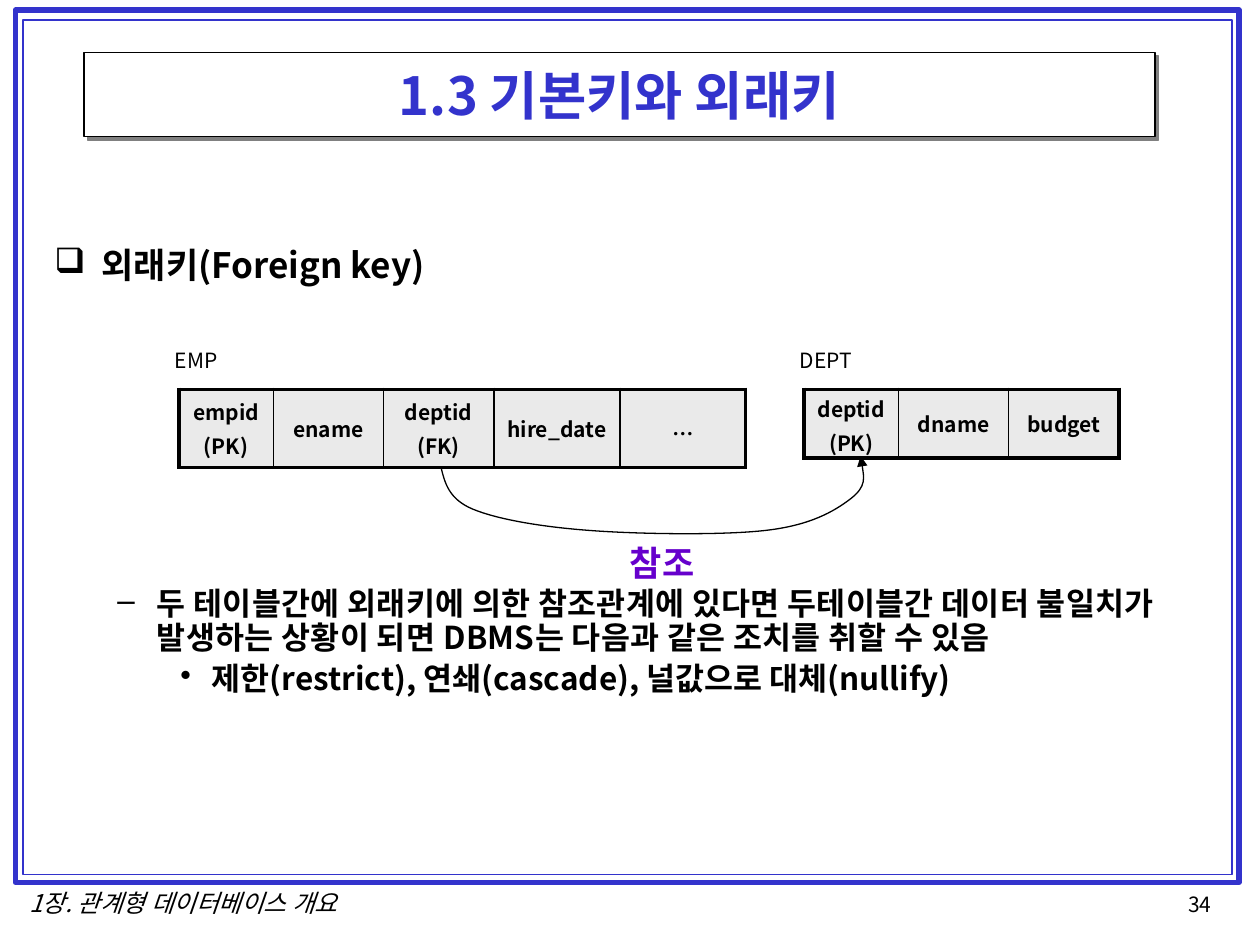
"""Build the slide on primary and foreign keys."""
import dataclasses
import typing

import lxml.etree
import pptx
import pptx.dml.color
import pptx.enum.shapes
import pptx.enum.text
import pptx.oxml
import pptx.oxml.ns
import pptx.util

Pt = pptx.util.Pt
qn = pptx.oxml.ns.qn
ALIGN = pptx.enum.text.PP_ALIGN
MIDDLE = pptx.enum.text.MSO_ANCHOR.MIDDLE


@dataclasses.dataclass(frozen=True)
class Theme:
    font: str = "Noto Sans CJK KR"
    serif: str = "Times New Roman"
    blue: str = "3333CC"
    purple: str = "6600CC"
    black: str = "000000"
    white: str = "FFFFFF"
    gray: str = "EAEAEA"
    shadow: str = "808080"
    title: float = 30
    heading: float = 20
    body: float = 18
    footer: float = 14
    small: float = 12
    thin: float = 0.75
    inner: float = 1
    outer: float = 2.25


THEME = Theme()


class Box(typing.NamedTuple):
    left: float
    top: float
    width: float
    height: float

    def lengths(self) -> list:
        return [Pt(value) for value in self]


@dataclasses.dataclass(frozen=True)
class Label:
    text: str
    box: Box
    size: float = THEME.small
    color: str = THEME.black
    bold: bool = False
    italic: bool = False
    align: typing.Any = ALIGN.LEFT


@dataclasses.dataclass(frozen=True)
class Item:
    text: str
    bullet: str
    size: float
    margin: float
    hanging: float
    before: float
    level: int
    tracking: float = 0


@dataclasses.dataclass(frozen=True)
class Relation:
    box: Box
    widths: tuple
    columns: tuple
    inset_top: float
    inset_bottom: float


LABELS = [
    Label("34", Box(671.8, 505.8, 31.7, 21.6)),
    Label("1장. 관계형 데이터베이스 개요", Box(0, 503.8, 209.5, 23.8), THEME.footer,
          italic=True, align=ALIGN.CENTER),
    Label("EMP", Box(92.9, 195.1, 39.6, 21.6)),
    Label("DEPT", Box(450, 195.1, 45.4, 21.6)),
    Label("참조", Box(352.8, 306, 54, 31), THEME.heading, THEME.purple, True),
]
ITEMS = [
    Item("외래키(Foreign key)", "❑", THEME.heading, 27, 27, 0, 0),
    Item("두 테이블간에 외래키에 의한 참조관계에 있다면 두테이블간 데이터 불일치가 "
         "발생하는 상황이 되면 DBMS는 다음과 같은 조치를 취할 수 있음",
         "–", THEME.body, 58.5, 22.5, 173, 1, 0.2),
    Item("제한(restrict), 연쇄(cascade), 널값으로 대체(nullify)",
         "•", THEME.body, 90, 18, 4, 2),
]
RELATIONS = [
    Relation(Box(102.2, 222.5, 324, 44.6), (54, 63, 63, 72, 72),
             (("empid", "(PK)"), ("ename",), ("deptid", "(FK)"), ("hire_date",), ("…",)), 3.6, 3.6),
    Relation(Box(459.4, 222.5, 180, 39.3), (54, 63, 63),
             (("deptid", "(PK)"), ("dname",), ("budget",)), 1.8, 0),
]
CURVE = [
    (252, 267.1), (254.2, 275.8), (256.3, 285.1), (270, 290.9),
    (283.7, 296.6), (308.2, 301), (336.2, 303.1),
    (364.3, 305.3), (413.3, 306), (437.8, 303.1),
    (463, 300.2), (476.6, 292.3), (486, 285.1),
    (495.4, 277.9), (493.2, 269.3), (491.8, 260.6),
]


def rgb(color: str) -> pptx.dml.color.RGBColor:
    return pptx.dml.color.RGBColor.from_string(color)


def add_run(paragraph, text: str, size: float, color: str = THEME.black, bold: bool = False,
            italic: bool = False, family: str = THEME.font, tracking: float = 0) -> None:
    run = paragraph.add_run()
    run.text = text
    font = run.font
    font.size, font.bold, font.italic, font.name = Pt(size), bold, italic, family
    font.color.rgb = rgb(color)
    properties = run._r.get_or_add_rPr()
    lxml.etree.SubElement(properties, qn("a:ea"), typeface=family)
    if tracking:
        properties.set("spc", str(round(tracking * 100)))


def add_rectangle(slide, box: Box, color: str, weight: float):
    shape = slide.shapes.add_shape(pptx.enum.shapes.MSO_SHAPE.RECTANGLE, *box.lengths())
    shape.shadow.inherit = False
    shape.fill.background()
    shape.line.color.rgb = rgb(color)
    shape.line.width = Pt(weight)
    return shape


def add_title(slide, text: str) -> None:
    shape = add_rectangle(slide, Box(48, 30, 612, 48), THEME.black, THEME.thin)
    shape.fill.solid()
    shape.fill.fore_color.rgb = rgb(THEME.white)
    effects = shape._element.spPr.find(qn("a:effectLst"))
    shadow = lxml.etree.SubElement(effects, qn("a:outerShdw"), dist=str(Pt(2.8)),
                                   dir="2700000", algn="ctr", rotWithShape="0")
    lxml.etree.SubElement(shadow, qn("a:srgbClr"), val=THEME.shadow)
    shape.text_frame.vertical_anchor = MIDDLE
    paragraph = shape.text_frame.paragraphs[0]
    paragraph.alignment = ALIGN.CENTER
    add_run(paragraph, text, THEME.title, THEME.blue, True)


def add_label(slide, label: Label) -> None:
    frame = slide.shapes.add_textbox(*label.box.lengths()).text_frame
    frame.word_wrap = False
    paragraph = frame.paragraphs[0]
    paragraph.alignment = label.align
    add_run(paragraph, label.text, label.size, label.color, label.bold, label.italic)


def add_outline(slide, box: Box, items: list[Item]) -> None:
    frame = slide.shapes.add_textbox(*box.lengths()).text_frame
    frame.word_wrap = True
    for index, item in enumerate(items):
        paragraph = frame.add_paragraph() if index else frame.paragraphs[0]
        paragraph.level = item.level
        paragraph.line_spacing = 0.9
        paragraph.space_before = Pt(item.before)
        properties = paragraph._p.get_or_add_pPr()
        properties.set("marL", str(Pt(item.margin)))
        properties.set("indent", str(-Pt(item.hanging)))
        lxml.etree.SubElement(properties, qn("a:buChar"), char=item.bullet)
        add_run(paragraph, item.text, item.size, bold=True, tracking=item.tracking)


def set_borders(cell, weights: dict[str, float]) -> None:
    properties = cell._tc.get_or_add_tcPr()
    for index, (side, weight) in enumerate(weights.items()):
        border = pptx.oxml.parse_xml(
            f'<a:ln{side} xmlns:a="http://schemas.openxmlformats.org/drawingml/2006/main" '
            f'w="{Pt(weight)}"><a:solidFill><a:srgbClr val="{THEME.black}"/></a:solidFill></a:ln{side}>')
        properties.insert(index, border)


def add_relation(slide, relation: Relation) -> None:
    count = len(relation.columns)
    table = slide.shapes.add_table(1, count, *relation.box.lengths()).table
    table.first_row = table.horz_banding = False
    for index, (width, lines) in enumerate(zip(relation.widths, relation.columns)):
        table.columns[index].width = Pt(width)
        cell = table.cell(0, index)
        cell.margin_top = Pt(relation.inset_top if len(lines) > 1 else relation.inset_bottom)
        cell.margin_bottom = Pt(relation.inset_bottom)
        cell.vertical_anchor = MIDDLE
        cell.fill.solid()
        cell.fill.fore_color.rgb = rgb(THEME.gray)
        set_borders(cell, {"L": THEME.inner if index else THEME.outer,
                           "R": THEME.inner if index < count - 1 else THEME.outer,
                           "T": THEME.outer, "B": THEME.outer})
        for number, line in enumerate(lines):
            paragraph = cell.text_frame.add_paragraph() if number else cell.text_frame.paragraphs[0]
            paragraph.alignment = ALIGN.CENTER
            paragraph.space_before = Pt(2.4 if number else 0)
            family = THEME.serif if line == "…" else THEME.font
            add_run(paragraph, line, THEME.small, bold=True, family=family)


def add_reference_curve(slide, points: list[tuple[float, float]]) -> None:
    (start_x, start_y), *controls = [(Pt(x), Pt(y)) for x, y in points]
    builder = slide.shapes.build_freeform(start_x, start_y)
    builder.add_line_segments(controls, close=False)
    shape = builder.convert_to_shape()
    shape.shadow.inherit = False
    shape.fill.background()
    shape.line.color.rgb = rgb(THEME.black)
    shape.line.width = Pt(THEME.thin)
    lxml.etree.SubElement(shape.line._get_or_add_ln(), qn("a:tailEnd"), type="triangle")
    outline = next(shape._element.iter(qn("a:path")))
    segments = outline.findall(qn("a:lnTo"))
    for first in range(0, len(segments), 3):
        curve = lxml.etree.SubElement(outline, qn("a:cubicBezTo"))
        for segment in segments[first:first + 3]:
            curve.append(segment[0])
            outline.remove(segment)


def main() -> None:
    presentation = pptx.Presentation()
    presentation.slide_width, presentation.slide_height = Pt(720), Pt(540)
    slide = presentation.slides.add_slide(presentation.slide_layouts[6])
    add_rectangle(slide, Box(8.7, 5.8, 699.4, 498.4), THEME.blue, 3)
    add_rectangle(slide, Box(13.1, 11.5, 690.8, 488.2), THEME.blue, 1)
    add_title(slide, "1.3 기본키와 외래키")
    add_outline(slide, Box(24, 138.2, 672, 348), ITEMS)
    for relation in RELATIONS:
        add_relation(slide, relation)
    add_reference_curve(slide, CURVE)
    for label in LABELS:
        add_label(slide, label)
    presentation.save("out.pptx")


if __name__ == "__main__":
    main()
